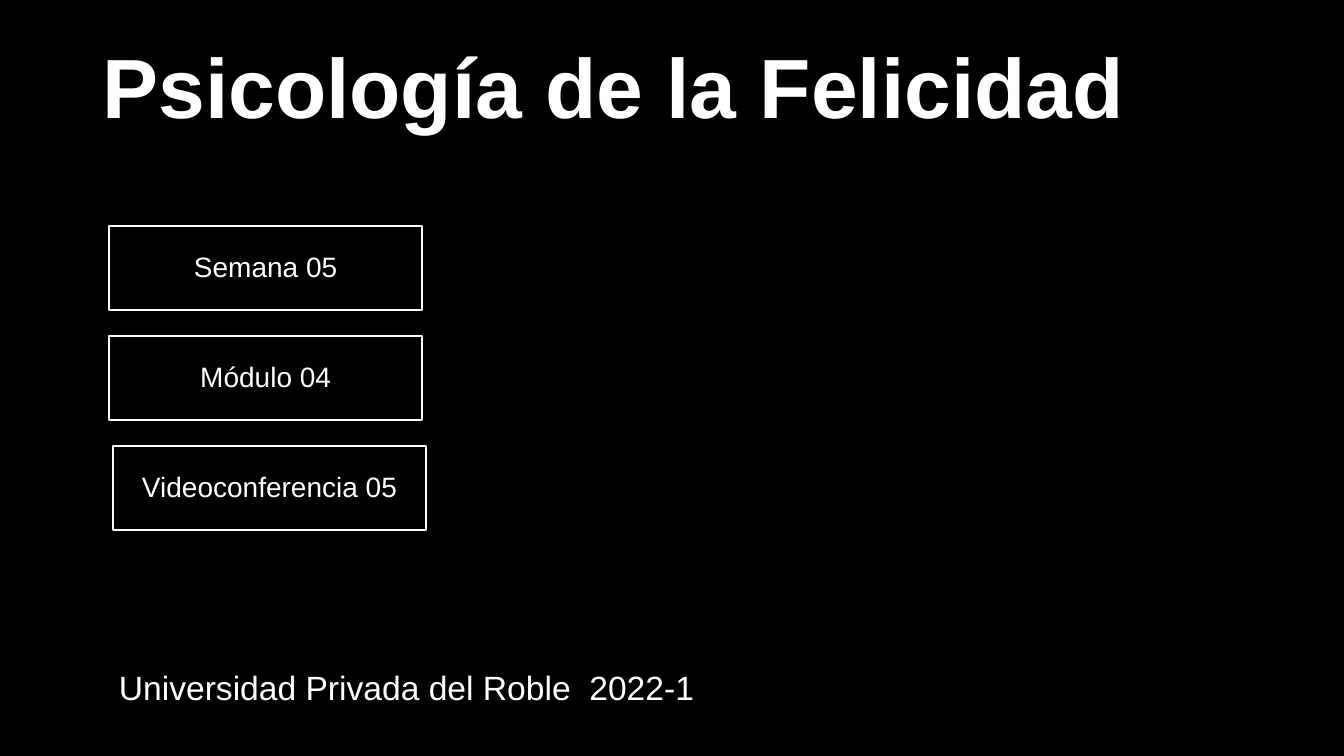
from pptx import Presentation
from pptx.dml.color import RGBColor
from pptx.enum.shapes import MSO_SHAPE
from pptx.enum.text import MSO_ANCHOR, PP_ALIGN
from pptx.util import Pt

BLACK = "000000"
WHITE = "FFFFFF"
LABEL_TOP = 161.3
LABEL_STEP = 78.5
LABELS = [("Semana 05", 77.8), ("Módulo 04", 77.8), ("Videoconferencia 05", 80.6)]


def color(value):
    return RGBColor.from_string(value)


def write(frame, text, size, bold=False, align=PP_ALIGN.LEFT, before=0):
    frame.word_wrap = True
    para = frame.paragraphs[0]
    para.text = text
    para.alignment = align
    para.line_spacing = 0.9
    para.space_before = Pt(before)
    para.font.name = "Arial"
    para.font.size = Pt(size)
    para.font.bold = bold
    para.font.color.rgb = color(WHITE)


def add_text(page, left, top, width, height, text, size, **style):
    box = page.shapes.add_textbox(Pt(left), Pt(top), Pt(width), Pt(height))
    write(box.text_frame, text, size, **style)


def add_label(page, left, top, text):
    box = page.shapes.add_shape(MSO_SHAPE.RECTANGLE, Pt(left), Pt(top), Pt(224), Pt(60.5))
    box.shadow.inherit = False
    box.fill.background()
    box.line.color.rgb = color(WHITE)
    box.line.width = Pt(1.5)
    box.text_frame.vertical_anchor = MSO_ANCHOR.MIDDLE
    write(box.text_frame, text, 20, align=PP_ALIGN.CENTER, before=10)


def main():
    deck = Presentation()
    deck.slide_width = Pt(960)
    deck.slide_height = Pt(540)
    page = deck.slides.add_slide(deck.slide_layouts[6])
    page.background.fill.solid()
    page.background.fill.fore_color.rgb = color(BLACK)

    add_text(page, 66.2, 29.5, 828, 471.6, "Psicología de la Felicidad", 60, bold=True)
    for row, (text, left) in enumerate(LABELS):
        add_label(page, left, LABEL_TOP + row * LABEL_STEP, text)
    add_text(page, 77.8, 475.9, 452.2, 35.3, "Universidad Privada del Roble  2022-1", 24, before=10)

    deck.save("out.pptx")


if __name__ == "__main__":
    main()
